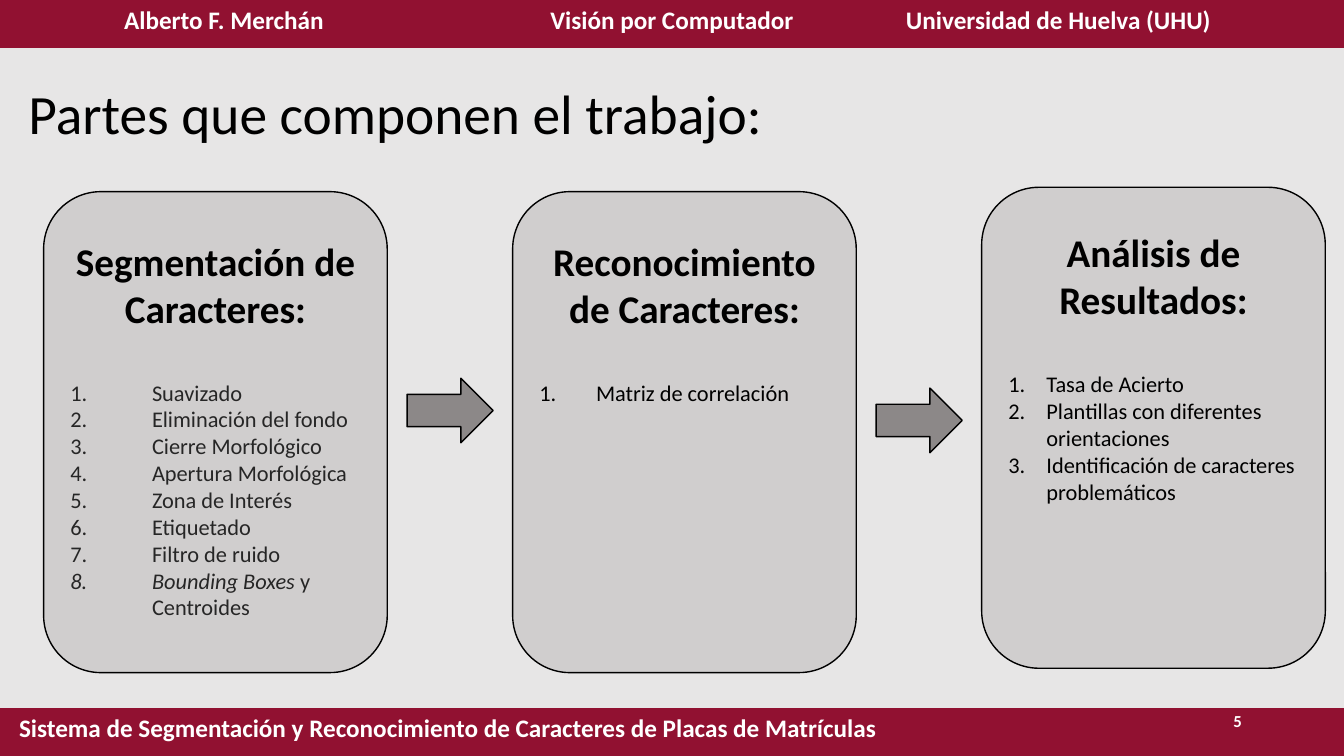
from dataclasses import dataclass

from lxml.etree import SubElement
from pptx import Presentation
from pptx.dml.color import RGBColor as RGB
from pptx.enum.shapes import MSO_SHAPE as Shape
from pptx.enum.text import MSO_ANCHOR as Anchor, MSO_AUTO_SIZE as AutoSize, PP_ALIGN as Align
from pptx.oxml.ns import qn
from pptx.util import Cm, Pt


@dataclass(frozen=True)
class Theme:
    font: str = "Calibri"
    back: str = "E7E6E6"
    band: str = "911131"
    card: str = "AFABAB"
    arrow: str = "767171"
    dark: str = "000000"
    soft: str = "262626"
    light: str = "FFFFFF"
    title: float = 39.6
    heading: float = 28
    bar: float = 18
    item: float = 16
    number: float = 12


@dataclass(frozen=True)
class Card:
    heading: str
    items: tuple[str, ...]
    top: float
    inset: float
    indent: float
    color: str


@dataclass(frozen=True)
class Band:
    top: float
    cells: tuple[tuple[str, float, Align], ...]


T = Theme()
WIDTH, HEIGHT = 33.87, 19.05
BAND_H = 1.2
CARD_W, CARD_H = 8.66, 12.12
CARD_LEFT, ARROW_LEFT, STEP = 1.1, 10.26, 11.82
ARROW_TOPS = (9.53, 9.78)
ITALIC = "Bounding Boxes "

BANDS = (
    Band(HEIGHT - BAND_H, (
        ("Sistema de Segmentación y Reconocimiento de Caracteres de Placas de Matrículas",
         WIDTH * 2 / 3, Align.CENTER),
        ("", WIDTH / 3, Align.LEFT))),
    Band(0, (
        ("Alberto F. Merchán", WIDTH / 3, Align.CENTER),
        ("Visión por Computador", WIDTH / 3, Align.CENTER),
        ("Universidad de Huelva (UHU)", WIDTH / 3, Align.LEFT))),
)
CARDS = (
    Card("Segmentación de Caracteres:",
         ("Suavizado", "Eliminación del fondo", "Cierre Morfológico", "Apertura Morfológica",
          "Zona de Interés", "Etiquetado", "Filtro de ruido", ITALIC + "y Centroides"),
         4.83, 0.72, 2.06, T.soft),
    Card("Reconocimiento de Caracteres:", ("Matriz de correlación",), 4.83, 0.72, 1.43, T.dark),
    Card("Análisis de Resultados:",
         ("Tasa de Acierto", "Plantillas con diferentes orientaciones",
          "Identificación de caracteres problemáticos"),
         4.72, 0.62, 0.96, T.dark),
)


def add_run(p, text: str, size: float, color: str, **formats) -> None:
    r = p.add_run()
    r.text = text
    for name, value in {"name": T.font, "size": Pt(size), **formats}.items():
        setattr(r.font, name, value)
    r.font.color.rgb = RGB.from_string(color)


def add_band(s, band: Band) -> None:
    frame = s.shapes.add_table(1, len(band.cells), 0, Cm(band.top), Cm(WIDTH), Cm(BAND_H))
    table = frame.table
    table.rows[0].height = Cm(BAND_H)
    for i, (text, width, align) in enumerate(band.cells):
        table.columns[i].width = Cm(width)
        cell = table.cell(0, i)
        # Borderless cells
        props = cell._tc.get_or_add_tcPr()
        for side in ("a:lnL", "a:lnR", "a:lnT", "a:lnB"):
            SubElement(SubElement(props, qn(side)), qn("a:noFill"))
        cell.fill.solid()
        cell.fill.fore_color.rgb = RGB.from_string(T.band)
        if text:
            p = cell.text_frame.paragraphs[0]
            p.alignment = align
            add_run(p, text, T.bar, T.light, bold=True)


def add_panel(s, kind: Shape, left: float, top: float, width: float, height: float,
              color: str, opacity: int):
    sp = s.shapes.add_shape(kind, Cm(left), Cm(top), Cm(width), Cm(height))
    sp.shadow.inherit = False
    sp.fill.solid()
    sp.fill.fore_color.rgb = RGB.from_string(color)
    tint = sp._element.spPr.find(qn("a:solidFill")).find(qn("a:srgbClr"))
    SubElement(tint, qn("a:alpha"), val=str(opacity * 1000))
    sp.line.color.rgb = RGB.from_string(T.dark)
    sp.line.width = Pt(1)
    return sp


def add_item(tf, text: str, card: Card, first: bool) -> None:
    p = tf.add_paragraph()
    p.alignment = Align.LEFT
    p.space_before = Pt(34 if first else 0)
    props = p._p.get_or_add_pPr()
    indent = Cm(card.indent)
    props.set("marL", str(indent))
    props.set("indent", str(-indent))
    SubElement(props, qn("a:buFont"), typeface="+mj-lt")
    SubElement(props, qn("a:buAutoNum"), type="arabicPeriod")
    if text.startswith(ITALIC):
        add_run(p, ITALIC, T.item, card.color, italic=True)
        text = text.removeprefix(ITALIC)
    add_run(p, text, T.item, card.color)


def add_card(s, card: Card, left: float) -> None:
    sp = add_panel(s, Shape.ROUNDED_RECTANGLE, left, card.top, CARD_W, CARD_H, T.card, 40)
    tf = sp.text_frame
    formats = {"word_wrap": True, "vertical_anchor": Anchor.TOP, "margin_top": Cm(card.inset)}
    for name, value in formats.items():
        setattr(tf, name, value)
    p = tf.paragraphs[0]
    p.alignment = Align.CENTER
    add_run(p, card.heading, T.heading, T.dark, bold=True)
    for i, text in enumerate(card.items):
        add_item(tf, text, card, i == 0)


def add_title(s, text: str) -> None:
    sp = s.shapes.title
    box = {"left": Cm(0.46), "top": Cm(2.11), "width": Cm(32.94), "height": Cm(1.63)}
    for name, value in box.items():
        setattr(sp, name, value)
    tf = sp.text_frame
    formats = {"word_wrap": True, "auto_size": AutoSize.NONE, "vertical_anchor": Anchor.MIDDLE}
    for name, value in formats.items():
        setattr(tf, name, value)
    p = tf.paragraphs[0]
    p.alignment = Align.LEFT
    p.line_spacing = 0.9
    add_run(p, text, T.title, T.dark)


def add_number(s, text: str) -> None:
    tf = s.shapes.add_textbox(Cm(23.93), Cm(17.65), Cm(7.62), Cm(1.02)).text_frame
    tf.word_wrap = True
    tf.vertical_anchor = Anchor.MIDDLE
    p = tf.paragraphs[0]
    p.alignment = Align.RIGHT
    add_run(p, text, T.number, T.light, bold=True)


def main() -> None:
    prs = Presentation()
    prs.slide_width, prs.slide_height = Cm(WIDTH), Cm(HEIGHT)
    s = prs.slides.add_slide(prs.slide_layouts[5])
    s.background.fill.solid()
    s.background.fill.fore_color.rgb = RGB.from_string(T.back)

    # Bands, title and page number
    for band in BANDS:
        add_band(s, band)
    add_title(s, "Partes que componen el trabajo:")
    add_number(s, "5")

    # Stages and the arrows between them
    for i, card in enumerate(CARDS):
        add_card(s, card, CARD_LEFT + i * STEP)
    for i, top in enumerate(ARROW_TOPS):
        add_panel(s, Shape.RIGHT_ARROW, ARROW_LEFT + i * STEP, top, 2.17, 1.63, T.arrow, 80)

    prs.save("out.pptx")


if __name__ == "__main__":
    main()
